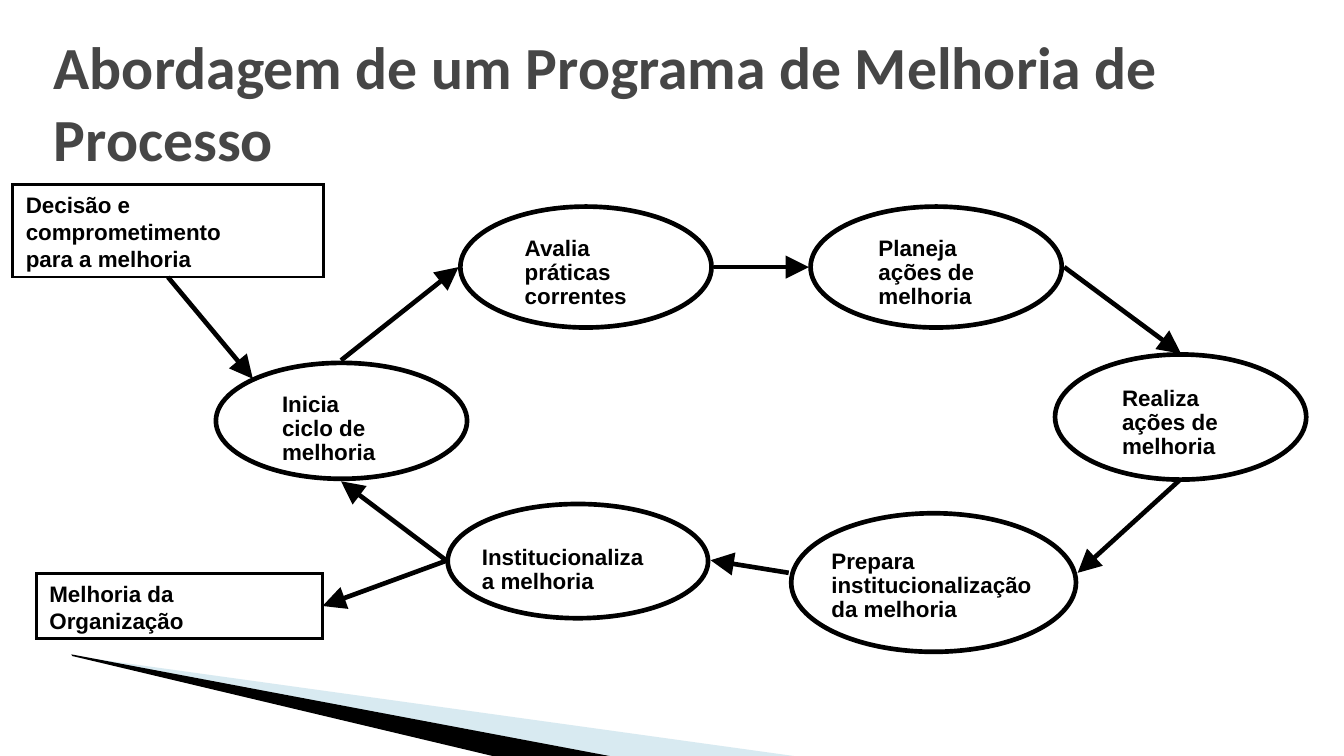
from lxml import etree
from pptx import Presentation
from pptx.dml.color import RGBColor
from pptx.enum.shapes import MSO_CONNECTOR, MSO_SHAPE
from pptx.enum.text import MSO_ANCHOR, MSO_AUTO_SIZE, PP_ALIGN
from pptx.oxml.ns import qn
from pptx.util import Pt

PX = 5715
RECT, OVAL = MSO_SHAPE.RECTANGLE, MSO_SHAPE.OVAL
STRAIGHT = MSO_CONNECTOR.STRAIGHT
TOP, MIDDLE = MSO_ANCHOR.TOP, MSO_ANCHOR.MIDDLE
LEFT = PP_ALIGN.LEFT
NO_FIT = MSO_AUTO_SIZE.NONE
COLORS = {"ink": "000000", "title": "464646", "wedge": "9FCBDC"}


def color(name):
    return RGBColor.from_string(COLORS[name])


def emu(*lengths):
    return [n * PX for n in lengths]


def style_run(r, size, font, name):
    r.font.size = Pt(size)
    r.font.name = font
    r.font.bold = True
    r.font.color.rgb = color(name)


def write(tf, paragraphs, spacing=None):
    tf.word_wrap = True
    tf.auto_size = NO_FIT
    tf.vertical_anchor = TOP
    for i, lines in enumerate(paragraphs):
        p = tf.add_paragraph() if i else tf.paragraphs[0]
        p.alignment = LEFT
        p.line_spacing = spacing
        for j, line in enumerate(lines):
            if j:
                p.add_line_break()
            r = p.add_run()
            r.text = line
            style_run(r, 12, "Arial", "ink")


def add_title(s, box, text):
    sp = s.shapes.title
    sp.left, sp.top, sp.width, sp.height = emu(*box)
    tf = sp.text_frame
    tf.word_wrap = True
    tf.auto_size = NO_FIT
    tf.vertical_anchor = MIDDLE
    p = tf.paragraphs[0]
    p.alignment = LEFT
    r = p.add_run()
    r.text = text
    style_run(r, 32, "Calibri", "title")


def add_wedge(s, points, name, alpha=None):
    builder = s.shapes.build_freeform(*points[0], scale=PX)
    builder.add_line_segments(points[1:], close=True)
    sp = builder.convert_to_shape()
    sp.shadow.inherit = False
    sp.fill.solid()
    sp.fill.fore_color.rgb = color(name)
    sp.line.fill.background()
    if alpha:
        clr = sp._element.spPr.find(".//" + qn("a:srgbClr"))
        etree.SubElement(clr, qn("a:alpha"), val=str(alpha * 1000))


def add_outline(s, kind, box, weight):
    sp = s.shapes.add_shape(kind, *emu(*box))
    sp.shadow.inherit = False
    sp.fill.background()
    sp.line.color.rgb = color("ink")
    sp.line.width = Pt(weight)
    ln = sp._element.spPr.find(qn("a:ln"))
    etree.SubElement(ln, qn("a:miter"), lim="800000")
    return sp


def add_box(s, box, paragraphs):
    sp = add_outline(s, RECT, box, 1.5)
    write(sp.text_frame, paragraphs)
    return sp


def add_step(s, box, label, lines):
    x, y, w, h = box
    dx, dy, label_w, label_h = label
    tb = s.shapes.add_textbox(*emu(x + dx, y + dy, label_w, label_h))
    write(tb.text_frame, [lines], 0.9)
    add_outline(s, OVAL, box, 2.5)


def add_arrow(s, start, end):
    c = s.shapes.add_connector(STRAIGHT, *emu(*start, *end))
    c.line.color.rgb = color("ink")
    c.line.width = Pt(2.5)
    ln = c._element.spPr.find(qn("a:ln"))
    etree.SubElement(ln, qn("a:tailEnd"), type="triangle", w="lg", len="lg")
    etree.SubElement(c._element.spPr, qn("a:effectLst"))
    return c


def add_cycle(s):
    steps = [
        ((533, 600, 310, 136), (25, 42, 269, 70), ["Institucionaliza", "a melhoria"]),
        ((942, 611, 339, 165), (32, 36, 278, 99),
         ["Prepara", "institucionalização", "da melhoria"]),
        ((257, 432, 299, 138), (63, 28, 170, 99), ["Inicia", "ciclo de", "melhoria"]),
        ((548, 246, 299, 144), (61, 28, 174, 99), ["Avalia", "práticas", "correntes"]),
        ((965, 246, 299, 144), (65, 28, 170, 99), ["Planeja", "ações de", "melhoria"]),
        ((1256, 422, 299, 149), (64, 31, 170, 118), ["Realiza", "ações de", "melhoria"]),
    ]
    for box, label, lines in steps:
        add_step(s, box, label, lines)
    arrows = [
        ((406, 429), (546, 318)),
        ((850, 318), (963, 318)),
        ((1267, 318), (1406, 421)),
        ((1405, 571), (1283, 682)),
        ((939, 682), (846, 667)),
        ((531, 667), (406, 573)),
    ]
    for start, end in arrows:
        add_arrow(s, start, end)


def add_entry_and_exit(s):
    result = add_box(s, (43, 683, 341, 77), [["Melhoria da"], ["Organização"]])
    decision = add_box(s, (15, 220, 370, 110),
                       [["Decisão e ", "comprometimento"], ["para a melhoria"]])
    add_arrow(s, (200, 330), (301, 451)).begin_connect(decision, 2)
    add_arrow(s, (533, 667), (384, 721)).end_connect(result, 3)


def main():
    prs = Presentation()
    prs.slide_width, prs.slide_height = emu(1600, 900)
    s = prs.slides.add_slide(prs.slide_layouts[5])
    add_wedge(s, [(88, 781), (952, 901), (730, 901)], "wedge", 40)
    add_wedge(s, [(85, 779), (731, 901), (595, 902), (86, 781)], "ink")
    add_cycle(s)
    add_entry_and_exit(s)
    add_title(s, (48, 29, 1552, 184), "Abordagem de um Programa de Melhoria de Processo")
    prs.save("out.pptx")


if __name__ == "__main__":
    main()
